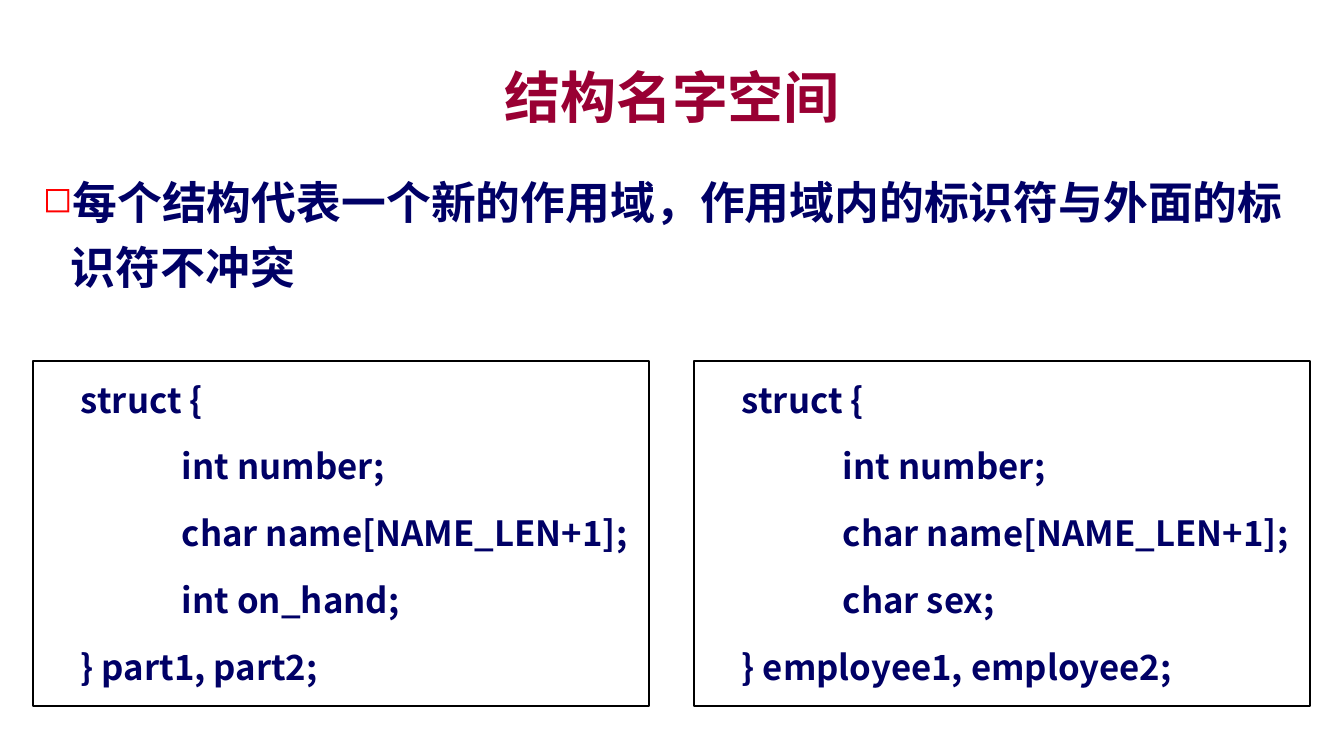
import pptx
import pptx.dml.color
import pptx.enum.shapes
import pptx.enum.text
import pptx.oxml
import pptx.oxml.ns
import pptx.util
import lxml.etree

FONT = "Noto Sans CJK SC"
NAVY = "000066"
EMU_PER_PX = 914400 / 100.8


def px(*lengths):
    return [round(length * EMU_PER_PX) for length in lengths]


def style(paragraph, size, color, spacing=None, left=0, hanging=0):
    """Set the font, spacing and indent of one paragraph."""
    font = paragraph.font
    font.size = pptx.util.Pt(size)
    font.bold = True
    font.color.rgb = pptx.dml.color.RGBColor.from_string(color)
    font.name = FONT
    east_asian = lxml.etree.SubElement(font._element, pptx.oxml.ns.qn("a:ea"))
    east_asian.set("typeface", FONT)
    if spacing:
        paragraph.line_spacing = spacing
        paragraph.space_before = paragraph.space_after = pptx.util.Pt(4.5)
    margin, indent = px(left, -hanging)
    properties = paragraph._p.get_or_add_pPr()
    properties.set("marL", str(margin))
    properties.set("indent", str(indent))


deck = pptx.Presentation()
deck.slide_width, deck.slide_height = px(1344, 756)
slide = deck.slides.add_slide(deck.slide_layouts[6])

# Title
title = slide.shapes.add_textbox(*px(101, 50, 1142, 93)).text_frame
title.word_wrap = True
title.vertical_anchor = pptx.enum.text.MSO_ANCHOR.MIDDLE
title.text = "结构名字空间"
title.paragraphs[0].alignment = pptx.enum.text.PP_ALIGN.CENTER
style(title.paragraphs[0], 40, "990033")

# Statement with a hollow square bullet
statement = slide.shapes.add_textbox(*px(33, 159, 1277, 562)).text_frame
statement.word_wrap = True
statement.text = "每个结构代表一个新的作用域，作用域内的标识符与外面的标识符不冲突"
rule = statement.paragraphs[0]
style(rule, 32, NAVY, 1.2, left=28, hanging=28)
namespace = pptx.oxml.ns.nsdecls("a")
for bullet_xml in (
    f'<a:buClr {namespace}><a:srgbClr val="FF0000"/></a:buClr>',
    f'<a:buSzPct {namespace} val="80000"/>',
    f'<a:buChar {namespace} char="◻"/>',
):
    rule.font._element.addprevious(pptx.oxml.parse_xml(bullet_xml))

# Two structs side by side, members indented one inch further
structs = [
    (33, "int on_hand;", "} part1, part2;"),
    (694, "char sex;", "} employee1, employee2;"),
]
for left, last_member, closing in structs:
    box = slide.shapes.add_shape(
        pptx.enum.shapes.MSO_SHAPE.RECTANGLE, *px(left, 361, 616, 345))
    box.shadow.inherit = False
    box.fill.solid()
    box.fill.fore_color.rgb = pptx.dml.color.RGBColor.from_string("FFFFFF")
    box.line.color.rgb = pptx.dml.color.RGBColor.from_string("000000")
    box.line.width = pptx.util.Pt(2)
    code = box.text_frame
    code.word_wrap = True
    code.vertical_anchor = pptx.enum.text.MSO_ANCHOR.TOP
    members = ["int number;", "char name[NAME_LEN+1];", last_member]
    code.text = "\n".join(["struct {", *members, closing])
    for line in code.paragraphs:
        line.alignment = pptx.enum.text.PP_ALIGN.LEFT
        style(line, 24.8, NAVY, 1.3, left=139 if line.text in members else 38)

deck.save("out.pptx")
